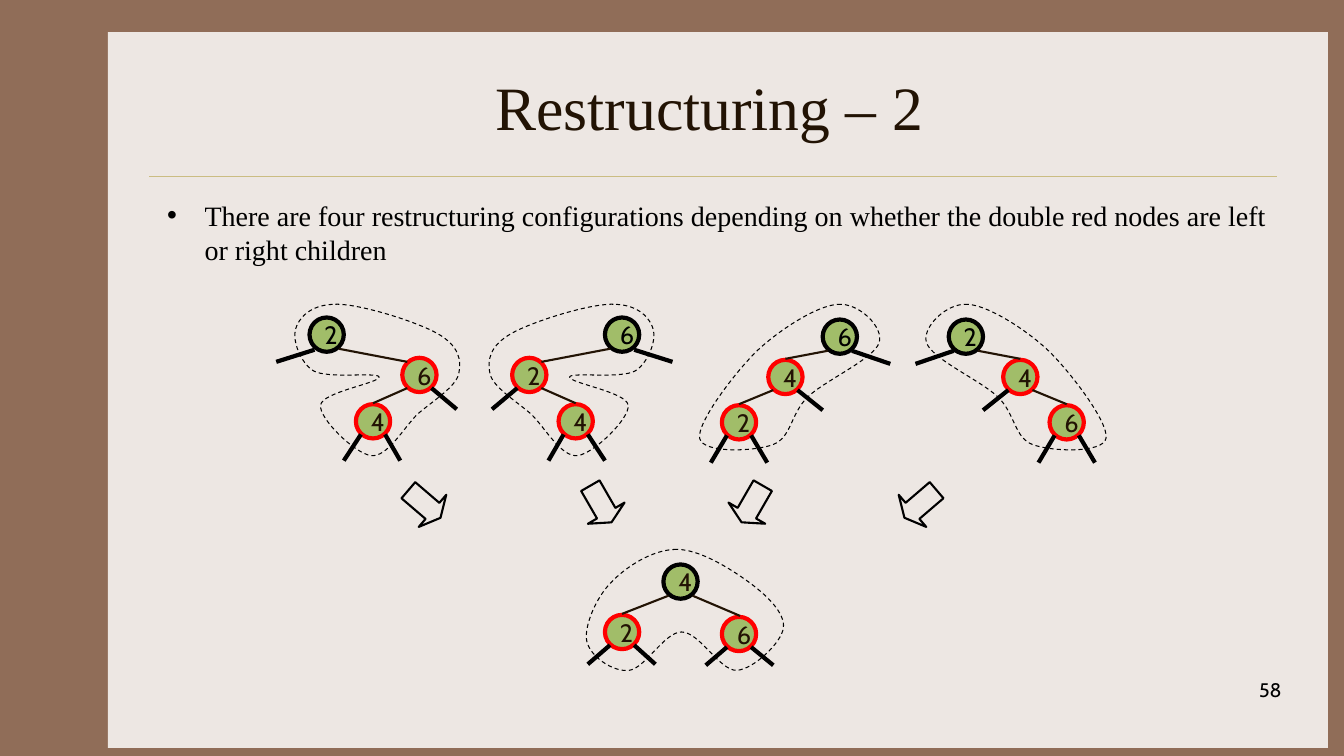
from lxml import etree
from pptx import Presentation
from pptx.dml.color import RGBColor
from pptx.enum import dml, shapes, text
from pptx.oxml import ns
from pptx.util import Inches, Pt

BROWN = RGBColor(0x90, 0x6D, 0x58)
PAPER = RGBColor(0xED, 0xE7, 0xE3)
GOLD = RGBColor(0xCB, 0xBD, 0x83)
INK = RGBColor(0x22, 0x13, 0x04)
BLACK = RGBColor(0, 0, 0)
RED = RGBColor(0xFF, 0, 0)
GREEN = RGBColor(0xA1, 0xBD, 0x69)
SERIF = "Times New Roman"
SANS = "Cabin"
NODE_SIZE = 0.34
ARROW_SIZE = 0.42

ZIGZAG = {
    "places": [(3.24, 3.32), (4.16, 3.72), (3.7, 4.18)],
    "edges": [(3.36, 3.46, 4.04, 3.59), (4.04, 3.85, 3.7, 4)],
    "stubs": [(3.82, 4.31, 3.97, 4.57), (3.58, 4.31, 3.41, 4.57),
              (4.28, 3.85, 4.53, 4.06), (3.12, 3.47, 2.74, 3.59)],
    "outline": [(3.3, 3.02), (3.07, 3.03), (2.96, 3.16), (2.93, 3.27),
                (2.9, 3.38), (2.98, 3.6), (3.11, 3.68),
                (3.25, 3.76), (3.75, 3.69), (3.76, 3.74),
                (3.77, 3.8), (3.19, 3.89), (3.18, 4.02),
                (3.16, 4.15), (3.52, 4.5), (3.68, 4.52),
                (3.84, 4.54), (4, 4.25), (4.14, 4.11),
                (4.29, 3.98), (4.52, 3.84), (4.55, 3.71),
                (4.58, 3.57), (4.55, 3.43), (4.34, 3.31),
                (4.13, 3.19), (3.53, 3), (3.3, 3.02)],
}
STRAIGHT = {
    "places": [(8.33, 3.34), (7.79, 3.74), (7.33, 4.19)],
    "edges": [(8.21, 3.48, 7.79, 3.56), (7.67, 3.87, 7.33, 4.01)],
    "stubs": [(7.45, 4.32, 7.61, 4.59), (7.21, 4.32, 7.05, 4.59),
              (7.91, 3.87, 8.16, 4.07), (8.45, 3.48, 8.83, 3.61)],
    "outline": [(8.31, 3.02), (8.52, 3), (8.77, 3.25), (8.72, 3.4),
                (8.67, 3.56), (8.19, 3.77), (8.01, 3.94),
                (7.84, 4.11), (7.85, 4.34), (7.67, 4.41),
                (7.49, 4.48), (6.97, 4.5), (6.94, 4.35),
                (6.91, 4.2), (7.27, 3.72), (7.5, 3.49),
                (7.73, 3.27), (8.11, 3.03), (8.31, 3.02)],
}
BALANCED = {
    "places": [(6.75, 5.77), (6.17, 6.27), (7.33, 6.29)],
    "edges": [(6.17, 6.09, 6.63, 5.91), (6.87, 5.91, 7.34, 6.11)],
    "stubs": [(7.21, 6.42, 7, 6.6), (7.45, 6.42, 7.67, 6.6),
              (6.5, 6.59, 6.29, 6.4), (6.05, 6.4, 5.83, 6.59)],
    "outline": [(6.71, 5.45), (6.47, 5.45), (6.2, 5.63), (6.06, 5.78),
                (5.91, 5.93), (5.79, 6.22), (5.82, 6.36),
                (5.85, 6.51), (6.08, 6.67), (6.24, 6.65),
                (6.4, 6.63), (6.59, 6.27), (6.76, 6.27),
                (6.94, 6.27), (7.14, 6.66), (7.31, 6.65),
                (7.47, 6.64), (7.75, 6.38), (7.77, 6.23),
                (7.79, 6.08), (7.6, 5.9), (7.42, 5.77),
                (7.24, 5.64), (6.94, 5.45), (6.71, 5.45)],
}
ZIGZAG_MIRROR = 9.41
STRAIGHT_MIRROR = 17.91
ARROWS = [(4, 310.6), (5.75, 330), (7.25, 30), (8.92, 49.4)]


def style_text(para, font, size, color, align):
    para.alignment = align
    for span in para.runs:
        span.font.name = font
        span.font.size = Pt(size)
        span.font.color.rgb = color


def add_label(page, left, top, width, height, words, font, size, color, align):
    box = page.shapes.add_textbox(Inches(left), Inches(top), Inches(width), Inches(height))
    frame = box.text_frame
    frame.word_wrap = True
    frame.text = words
    style_text(frame.paragraphs[0], font, size, color, align)
    return frame


def add_bullet(para):
    para.space_before = Pt(4)
    properties = para._p.get_or_add_pPr()
    properties.set("marL", str(Inches(0.37)))
    properties.set("indent", str(-Inches(0.37)))
    etree.SubElement(properties, ns.qn("a:buFont")).set("typeface", "Arial")
    etree.SubElement(properties, ns.qn("a:buChar")).set("char", "•")


def add_line(page, ends, color, weight):
    line = page.shapes.add_connector(
        shapes.MSO_CONNECTOR.STRAIGHT, *(Inches(value) for value in ends))
    line.line.color.rgb = color
    line.line.width = Pt(weight)
    etree.SubElement(line._element.spPr, ns.qn("a:effectLst"))


def add_outlined(page, kind, left, top, size, color, weight):
    shape = page.shapes.add_shape(
        kind, Inches(left), Inches(top), Inches(size), Inches(size))
    shape.shadow.inherit = False
    shape.fill.background()
    shape.line.color.rgb = color
    shape.line.width = Pt(weight)
    return shape


def add_node(page, center, label, ring, ink):
    x, y = center
    node = add_outlined(page, shapes.MSO_SHAPE.OVAL, x - NODE_SIZE / 2,
                        y - NODE_SIZE / 2, NODE_SIZE, ring, 3)
    node.fill.solid()
    node.fill.fore_color.rgb = GREEN
    frame = node.text_frame
    frame.word_wrap = False
    frame.vertical_anchor = text.MSO_ANCHOR.MIDDLE
    frame.text = label
    style_text(frame.paragraphs[0], SANS, 18, ink, text.PP_ALIGN.LEFT)


def bend_segments(outline):
    segments = list(outline._element.iter(ns.qn("a:lnTo")))
    for first in range(0, len(segments), 3):
        curve = etree.Element(ns.qn("a:cubicBezTo"))
        segments[first].addprevious(curve)
        for segment in segments[first:first + 3]:
            curve.append(segment[0])
            segment.getparent().remove(segment)


def add_outline(page, anchors):
    points = [(Inches(x), Inches(y)) for x, y in anchors]
    builder = page.shapes.build_freeform(*points[0])
    builder.add_line_segments(points[1:], close=True)
    outline = builder.convert_to_shape()
    bend_segments(outline)
    outline.shadow.inherit = False
    outline.fill.background()
    outline.line.color.rgb = BLACK
    outline.line.width = Pt(0.75)
    outline.line.dash_style = dml.MSO_LINE.DASH


def add_tree(page, layout, labels, root_ink=BLACK, mirror=None):
    def place(x):
        return x if mirror is None else mirror - x

    for index, (x, y) in enumerate(layout["places"]):
        ring, ink = (RED, INK) if index else (BLACK, root_ink)
        add_node(page, (place(x), y), labels[index], ring, ink)
    for group, color, weight in (("edges", INK, 1.5), ("stubs", BLACK, 3)):
        for x1, y1, x2, y2 in layout[group]:
            add_line(page, (place(x1), y1, place(x2), y2), color, weight)
    add_outline(page, [(place(x), y) for x, y in layout["outline"]])


def add_frame(page):
    page.background.fill.solid()
    page.background.fill.fore_color.rgb = BROWN
    panel = page.shapes.add_shape(
        shapes.MSO_SHAPE.RECTANGLE, Inches(1.07), Inches(0.32), Inches(12.1), Inches(7.1))
    panel.shadow.inherit = False
    panel.fill.solid()
    panel.fill.fore_color.rgb = PAPER
    panel.line.fill.background()
    add_line(page, (1.48, 1.75, 12.67, 1.75), GOLD, 0.25)


def main():
    deck = Presentation()
    deck.slide_width = Inches(13.33)
    deck.slide_height = Inches(7.5)
    page = deck.slides.add_slide(deck.slide_layouts[6])
    add_frame(page)
    title = add_label(page, 1.56, 0.42, 11.11, 1.25, "Restructuring – 2 ",
                      SERIF, 44, INK, text.PP_ALIGN.CENTER)
    title.vertical_anchor = text.MSO_ANCHOR.MIDDLE
    body = add_label(page, 1.56, 1.92, 11.15, 4.5,
                     "There are four restructuring configurations depending on "
                     "whether the double red nodes are left or right children",
                     SERIF, 20, BLACK, text.PP_ALIGN.LEFT)
    add_bullet(body.paragraphs[0])
    add_label(page, 10.03, 6.68, 2.78, 0.5, "58", SANS, 14, BLACK, text.PP_ALIGN.RIGHT)
    add_tree(page, ZIGZAG, "264")
    add_tree(page, ZIGZAG, "624", mirror=ZIGZAG_MIRROR)
    add_tree(page, STRAIGHT, "642")
    add_tree(page, STRAIGHT, "246", mirror=STRAIGHT_MIRROR)
    add_tree(page, BALANCED, "426", root_ink=INK)
    for left, turn in ARROWS:
        arrow = add_outlined(page, shapes.MSO_SHAPE.DOWN_ARROW, left, 4.79,
                             ARROW_SIZE, BLACK, 1.5)
        arrow.adjustments[1] = 0.25
        arrow.rotation = turn
    deck.save("out.pptx")


if __name__ == "__main__":
    main()
